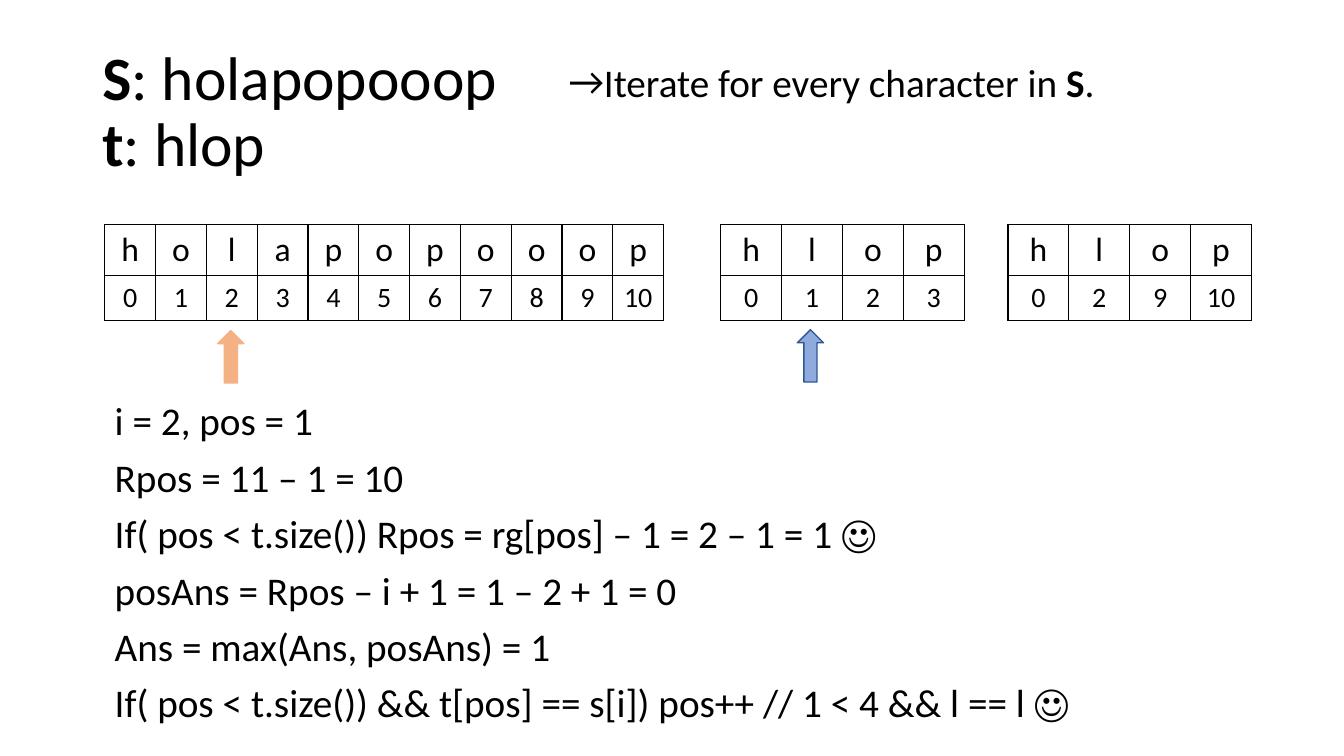
from lxml import etree
from pptx import Presentation
from pptx.dml.color import RGBColor
from pptx.enum.shapes import MSO_SHAPE
from pptx.enum.text import MSO_ANCHOR, PP_ALIGN
from pptx.oxml.ns import qn
from pptx.util import Pt

ARROW = MSO_SHAPE.RIGHT_ARROW
CENTER = PP_ALIGN.CENTER
MIDDLE = MSO_ANCHOR.MIDDLE
TOP = MSO_ANCHOR.TOP

THEME = {
    "font": "Calibri",
    "ink": "000000",
    "orange": "F4B183",
    "blue": "8FAADC",
    "navy": "2F5597",
    "title": 44,
    "body": 28,
    "letter": 24,
    "index": 20,
}


def write(para, pieces, size, **layout):
    for name, value in layout.items():
        setattr(para, name, value)
    for text, bold in pieces:
        span = para.add_run()
        span.text = text
        look = {"name": THEME["font"], "size": Pt(size), "bold": bold}
        for name, value in look.items():
            setattr(span.font, name, value)
        span.font.color.rgb = RGBColor.from_string(THEME["ink"])


def add_box(left, top, width, height, anchor):
    box = page.shapes.add_textbox(Pt(left), Pt(top), Pt(width), Pt(height))
    box.text_frame.word_wrap = True
    box.text_frame.vertical_anchor = anchor
    return box.text_frame


deck = Presentation()
deck.slide_width, deck.slide_height = Pt(960), Pt(540)
page = deck.slides.add_slide(deck.slide_layouts[6])

title = add_box(66, 28.8, 828, 104.4, MIDDLE).paragraphs[0]
write(title, [("S", True), (": holapopooop", False)], THEME["title"], line_spacing=0.9)
title.add_line_break()
write(title, [("t", True), (": hlop", False)], THEME["title"])

hint = add_box(399, 41.8, 398, 42.5, TOP).paragraphs[0]
hint_pieces = [("Iterate for every character in ", False), ("S", True), (".", False)]
write(hint, hint_pieces, THEME["body"], line_spacing=0.9, space_before=Pt(10))
hint_format = hint._p.get_or_add_pPr()
hint_format.set("marL", str(Pt(18)))
hint_format.set("indent", str(Pt(-18)))
etree.SubElement(hint_format, qn("a:buFont")).set("typeface", THEME["font"])
etree.SubElement(hint_format, qn("a:buChar")).set("char", "→")

tables = [
    (74.9, 36.3, "holapopooop", range(11)),
    (514.8, 43.5, "hlop", range(4)),
    (720, 43.5, "hlop", [0, 2, 9, 10]),
]
for left, column_width, letters, indices in tables:
    count = len(letters)
    frame = page.shapes.add_table(
        2, count, Pt(left), Pt(160.5), Pt(column_width * count), Pt(68.5)
    )
    table = frame.table
    table.first_row = table.horz_banding = False
    for column in table.columns:
        column.width = Pt(column_width)
    rows = [(letters, THEME["letter"], 36.5), (indices, THEME["index"], 32)]
    for row, (values, size, height) in enumerate(rows):
        table.rows[row].height = Pt(height)
        for column, value in enumerate(values):
            cell = table.cell(row, column)
            write(cell.text_frame.paragraphs[0], [(str(value), False)], size, alignment=CENTER)
            cell_format = cell._tc.get_or_add_tcPr()
            for side in ("lnL", "lnR", "lnT", "lnB"):
                border = etree.SubElement(cell_format, qn(f"a:{side}"), w=str(Pt(1)))
                fill = etree.SubElement(border, qn("a:solidFill"))
                etree.SubElement(fill, qn("a:srgbClr"), val=THEME["ink"])
            cell.fill.background()

arrows = [(146.2, 245.5, "orange", "orange"), (560.2, 244.8, "blue", "navy")]
for left, top, fill_color, line_color in arrows:
    arrow = page.shapes.add_shape(ARROW, Pt(left), Pt(top), Pt(37.4), Pt(18.7))
    arrow.rotation = 270
    arrow.shadow.inherit = False
    arrow.fill.solid()
    arrow.fill.fore_color.rgb = RGBColor.from_string(THEME[fill_color])
    arrow.line.color.rgb = RGBColor.from_string(THEME[line_color])
    arrow.line.width = Pt(1)

steps = [
    "i = 2, pos = 1",
    "Rpos = 11 – 1 = 10",
    "If( pos < t.size()) Rpos = rg[pos] – 1 = 2 – 1 = 1 ☺",
    "posAns = Rpos – i + 1 = 1 – 2 + 1 = 0",
    "Ans = max(Ans, posAns) = 1",
    "If( pos < t.size()) && t[pos] == s[i]) pos++ // 1 < 4 && l == l ☺",
]
trace = add_box(74.9, 283.7, 723, 241, TOP)
for number, step in enumerate(steps):
    para = trace.add_paragraph() if number else trace.paragraphs[0]
    write(para, [(step, False)], THEME["body"], line_spacing=0.9, space_before=Pt(10))

deck.save("out.pptx")
